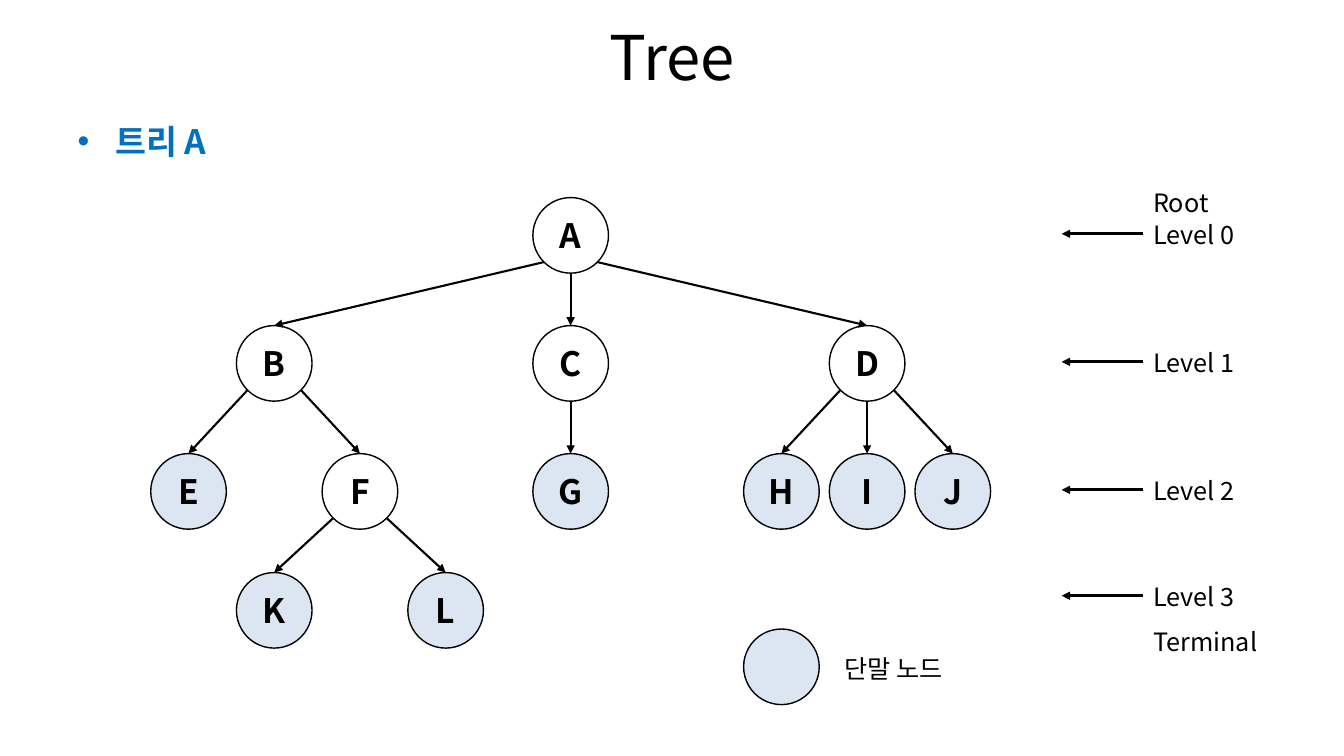
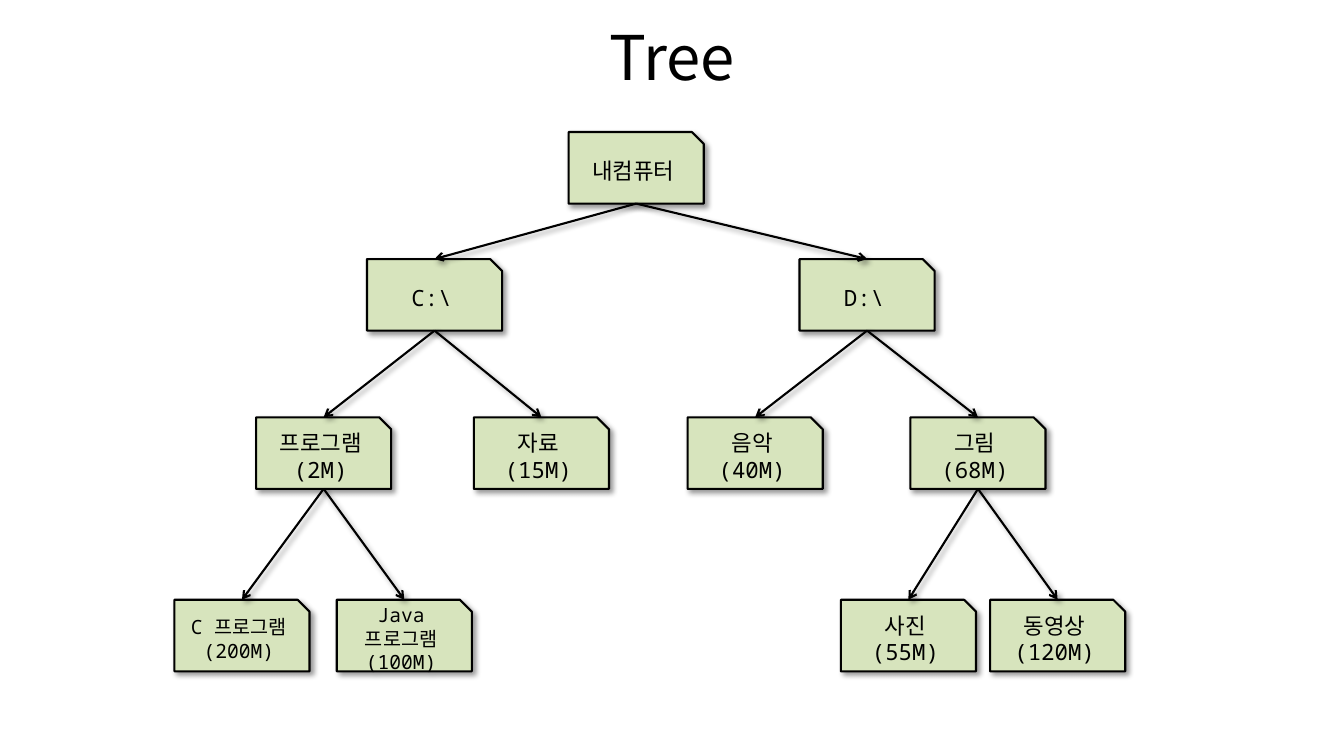
from dataclasses import dataclass
from math import sqrt

from lxml.etree import SubElement
from pptx import Presentation
from pptx.dml.color import RGBColor
from pptx.enum.shapes import MSO_CONNECTOR as Link, MSO_SHAPE as Form
from pptx.enum.text import MSO_ANCHOR as Anchor, PP_ALIGN as Align
from pptx.oxml.ns import qn
from pptx.shapes.autoshape import Shape
from pptx.shapes.connector import Connector
from pptx.slide import Slide
from pptx.text.text import TextFrame
from pptx.util import Inches, Pt


@dataclass(frozen=True)
class Theme:
    ink: str = "000000"
    paper: str = "FFFFFF"
    accent: str = "0070C0"
    leaf: str = "DCE6F2"
    folder: str = "D7E4BD"
    sans: str = "Noto Sans CJK KR"
    mono: str = "Noto Sans Mono"
    title: int = 44
    head: int = 24
    label: int = 18
    file: int = 16
    small: int = 14


@dataclass(frozen=True)
class Style:
    size: int
    font: str
    color: str = "000000"
    bold: bool = False


@dataclass(frozen=True)
class Node:
    """A tree node: x is its centre; a paragraph ends at \\n, a line at \\v."""
    name: str
    x: float
    level: int
    up: str = ""
    small: bool = False


THEME = Theme()
TITLE = Style(THEME.title, THEME.sans)
HEAD = Style(THEME.head, THEME.sans, THEME.accent, True)
LETTER = Style(THEME.head, THEME.sans, bold=True)
LABEL = Style(THEME.label, THEME.sans)
FILE = Style(THEME.file, THEME.mono)
SMALL = Style(THEME.small, THEME.mono)

BALL = 0.75
MID, SIDE, STEP = 5.66, 2.94, 0.85
LEFT, RIGHT = MID - SIDE, MID + SIDE
ROWS = (1.96, 3.23, 4.5, 5.68)
LETTERS = (
    Node("A", MID, 0),
    Node("B", LEFT, 1, "A"),
    Node("C", MID, 1, "A"),
    Node("D", RIGHT, 1, "A"),
    Node("E", LEFT - STEP, 2, "B"),
    Node("F", LEFT + STEP, 2, "B"),
    Node("G", MID, 2, "C"),
    Node("H", RIGHT - STEP, 2, "D"),
    Node("I", RIGHT, 2, "D"),
    Node("J", RIGHT + STEP, 2, "D"),
    Node("K", LEFT, 3, "F"),
    Node("L", LEFT + 2 * STEP, 3, "F"),
)
LEVELS = (2.13, 3.4, 4.67, 5.72)
LABEL_X = 11.34

CARD_W, CARD_H = 1.34, 0.71
TIERS = (1.31, 2.57, 4.14, 5.95)
FILES = (
    Node("내컴퓨터", 6.31, 0),
    Node("C:\\", 4.31, 1, "내컴퓨터"),
    Node("D:\\", 8.6, 1, "내컴퓨터"),
    Node("프로그램\n(2M)", 3.21, 2, "C:\\"),
    Node("자료\n(15M)", 5.37, 2, "C:\\"),
    Node("음악\n(40M)", 7.49, 2, "D:\\"),
    Node("그림\n(68M)", 9.7, 2, "D:\\"),
    Node("C 프로그램\v(200M)", 2.4, 3, "프로그램\n(2M)", True),
    Node("Java\v프로그램\v(100M)", 4.01, 3, "프로그램\n(2M)", True),
    Node("사진\n(55M)", 9.01, 3, "그림\n(68M)"),
    Node("동영상\n(120M)", 10.49, 3, "그림\n(68M)"),
)


def write(frame: TextFrame, text: str, style: Style,
          align: Align | None = None) -> None:
    frame.word_wrap = True
    for i, part in enumerate(text.split("\n")):
        para = frame.add_paragraph() if i else frame.paragraphs[0]
        if align is not None:
            para.alignment = align
        for j, line in enumerate(part.split("\v")):
            if j:
                para.add_line_break()
            run = para.add_run()
            run.text = line
            run.font.size = Pt(style.size)
            run.font.bold = style.bold
            run.font.color.rgb = RGBColor.from_string(style.color)
            run.font.name = style.font
            east = SubElement(run.font._element, qn("a:ea"))
            east.set("typeface", style.font)


def shade(item: Shape | Connector, soft: bool) -> None:
    """Replace the theme's shadow by a soft one or by none."""
    effects = SubElement(item._element.spPr, qn("a:effectLst"))
    if soft:
        outer = SubElement(effects, qn("a:outerShdw"), blurRad=str(Pt(4)),
                           dist=str(Pt(3)), dir="2700000", algn="tl",
                           rotWithShape="0")
        color = SubElement(outer, qn("a:srgbClr"), val=THEME.ink)
        SubElement(color, qn("a:alpha"), val="40000")


def place(item: Shape, x: float, y: float, w: float, h: float) -> None:
    item.left, item.top = Inches(x), Inches(y)
    item.width, item.height = Inches(w), Inches(h)


def draw(slide: Slide, form: Form, x: float, y: float, w: float, h: float,
         fill: str, line: float, soft: bool = False) -> Shape:
    """Add an outlined shape whose top side is centred on x."""
    shape = slide.shapes.add_shape(form, Inches(x - w / 2), Inches(y),
                                   Inches(w), Inches(h))
    shape.fill.solid()
    shape.fill.fore_color.rgb = RGBColor.from_string(fill)
    shape.line.color.rgb = RGBColor.from_string(THEME.ink)
    shape.line.width = Pt(line)
    shade(shape, soft)
    shape.text_frame.vertical_anchor = Anchor.MIDDLE
    return shape


def arrow(slide: Slide, x: float, y: float, to_x: float, to_y: float,
          head: str = "triangle", width: float = 1.5,
          soft: bool = False) -> Connector:
    link = slide.shapes.add_connector(Link.STRAIGHT, Inches(x), Inches(y),
                                      Inches(to_x), Inches(to_y))
    link.line.color.rgb = RGBColor.from_string(THEME.ink)
    link.line.width = Pt(width)
    SubElement(link._element.spPr.find(qn("a:ln")), qn("a:tailEnd"), type=head)
    shade(link, soft)
    return link


def label(slide: Slide, text: str, x: float, y: float, w: float,
          align: Align = Align.LEFT) -> None:
    box = slide.shapes.add_textbox(Inches(x), Inches(y), Inches(w), Inches(0.4))
    write(box.text_frame, text, LABEL, align)


def start(deck: Presentation, layout: int) -> Slide:
    """Add a slide with the shared title."""
    slide = deck.slides.add_slide(deck.slide_layouts[layout])
    title = slide.shapes.title
    place(title, 0.67, 0.13, 12, 0.85)
    title.text_frame.vertical_anchor = Anchor.MIDDLE
    write(title.text_frame, "Tree", TITLE, Align.CENTER)
    return slide


def letters(deck: Presentation) -> None:
    slide = start(deck, 1)
    body = slide.placeholders[1]
    place(body, 0.67, 1.15, 12, 5.67)
    write(body.text_frame, "트리 A", HEAD)

    nodes = {node.name: node for node in LETTERS}
    inner = {node.up for node in LETTERS}
    for node in LETTERS:
        fill = THEME.paper if node.name in inner else THEME.leaf
        ball = draw(slide, Form.OVAL, node.x, ROWS[node.level], BALL, BALL,
                    fill, 1)
        write(ball.text_frame, node.name, LETTER, Align.CENTER)
        if node.up:
            top = nodes[node.up]
            side = (node.x > top.x) - (node.x < top.x)
            reach = BALL / 2
            slant = reach / sqrt(2)
            arrow(slide, top.x + side * slant,
                  ROWS[top.level] + reach + (slant if side else reach),
                  node.x, ROWS[node.level])

    for i, y in enumerate(LEVELS):
        arrow(slide, LABEL_X, y + 0.19, LABEL_X - 0.81, y + 0.19, width=2)
        label(slide, f"Level {i}", LABEL_X, y, 1.04)
    label(slide, "Root", LABEL_X, 1.81, 1.04)
    label(slide, "Terminal", LABEL_X, 6.16, 1.33)

    draw(slide, Form.OVAL, RIGHT - STEP, 6.24, BALL, BALL, THEME.leaf, 1)
    label(slide, "단말 노드", 8.19, 6.43, 1.35, Align.CENTER)


def files(deck: Presentation) -> None:
    slide = start(deck, 5)
    cards: dict[str, Shape] = {}
    for node in FILES:
        card = draw(slide, Form.SNIP_1_RECTANGLE, node.x, TIERS[node.level],
                    CARD_W, CARD_H, THEME.folder, 1.5, True)
        write(card.text_frame, node.name, SMALL if node.small else FILE,
              Align.CENTER)
        cards[node.name] = card
        if node.up:
            link = arrow(slide, 0, 0, 1, 1, "arrow", soft=True)
            link.begin_connect(cards[node.up], 2)
            link.end_connect(card, 0)


def main() -> None:
    deck = Presentation()
    deck.slide_width, deck.slide_height = Inches(13.33), Inches(7.5)
    letters(deck)
    files(deck)
    deck.save("out.pptx")


if __name__ == "__main__":
    main()
